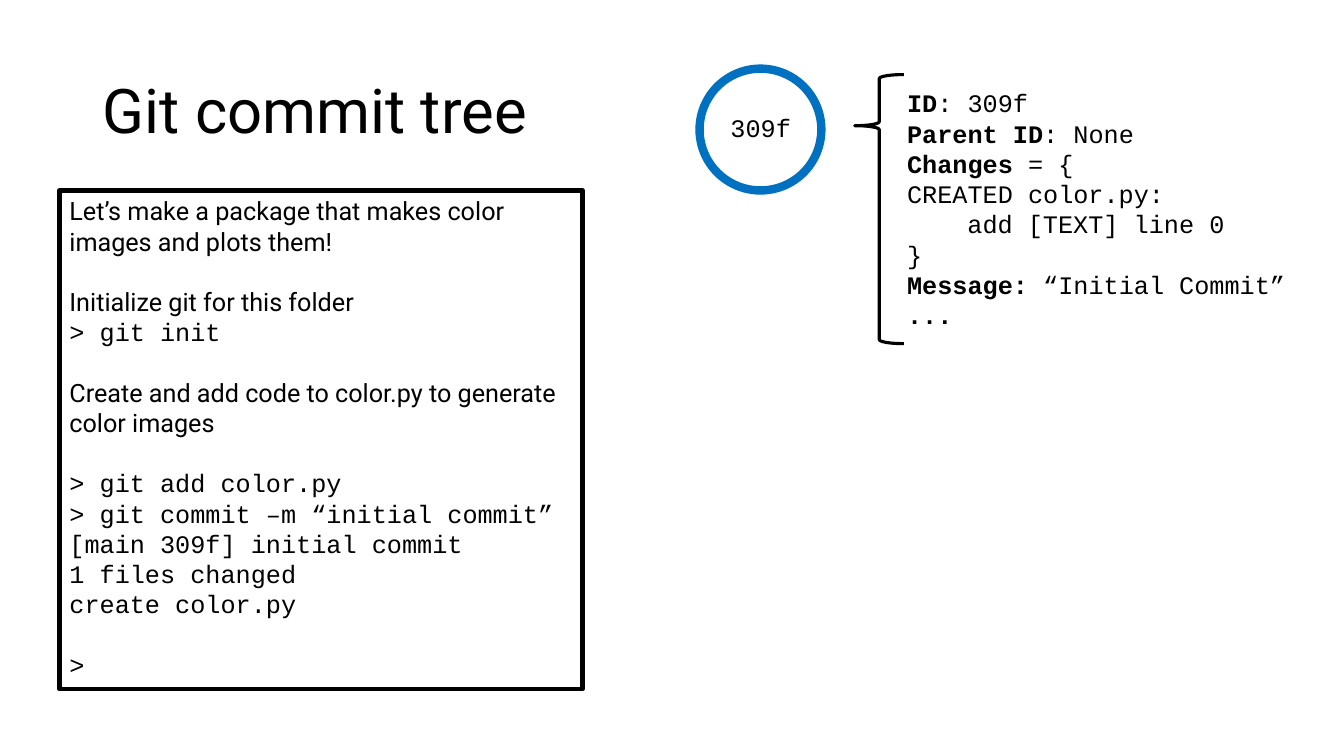
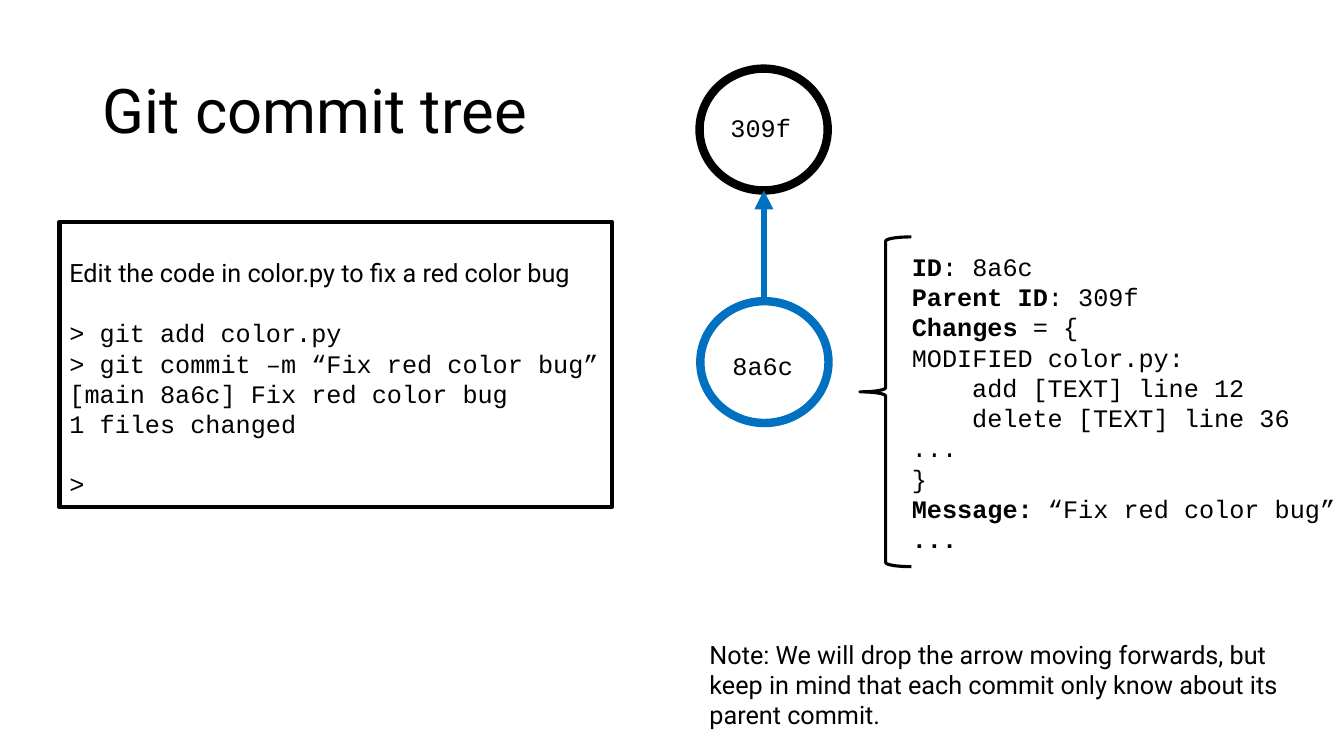
from dataclasses import dataclass

from lxml import etree
from pptx import Presentation
from pptx.dml.color import RGBColor
from pptx.enum.shapes import MSO_CONNECTOR as Link, MSO_SHAPE as Form
from pptx.enum.text import MSO_ANCHOR as Anchor, MSO_AUTO_SIZE as Auto, PP_ALIGN as Align
from pptx.oxml.ns import qn
from pptx.util import Cm, Pt

BLACK = RGBColor(0x00, 0x00, 0x00)
BLUE = RGBColor(0x00, 0x70, 0xC0)
SANS, MONO = "Roboto", "Courier New"
GAP = Pt(21.6)      # one line of body text
STEP = Cm(1.52)     # four code letters


@dataclass
class Row:
    """One paragraph: a bold key, then plain text."""
    text: str = ""
    key: str = ""
    font: str = MONO
    gap: bool = False
    inset: bool = False


class Deck:
    def __init__(self):
        self.prs = Presentation()
        self.prs.slide_width, self.prs.slide_height = Cm(33.87), Cm(19.05)
        self.slide = None

    def page(self, title):
        self.slide = self.prs.slides.add_slide(self.prs.slide_layouts[5])
        head = self.slide.shapes.title
        head.left, head.top, head.width, head.height = Cm(2.34), Cm(1.02), Cm(29.21), Cm(3.68)
        frame = head.text_frame
        frame.auto_size = Auto.NONE
        frame.vertical_anchor = Anchor.MIDDLE
        para = frame.paragraphs[0]
        para.alignment = Align.LEFT
        para.line_spacing = 0.9
        self.run(para, title, SANS, 44)

    def run(self, para, text, font, size=18, bold=False):
        run = para.add_run()
        run.text = text
        run.font.name, run.font.size, run.font.bold = font, Pt(size), bold
        run.font.color.rgb = BLACK

    def fill(self, frame, rows, top=0.13):
        frame.word_wrap = True
        frame.vertical_anchor = Anchor.TOP
        frame.margin_top, frame.margin_right = Cm(top), 0
        for i, row in enumerate(rows):
            para = frame.add_paragraph() if i else frame.paragraphs[0]
            para.alignment = Align.LEFT
            if row.gap:
                para.space_before = GAP
            if row.inset:
                para._p.get_or_add_pPr().set("marL", str(STEP))
            if row.key:
                self.run(para, row.key, row.font, bold=True)
            if row.text:
                self.run(para, row.text, row.font)

    def shape(self, form, x, y, w, h, color, width):
        item = self.slide.shapes.add_shape(form, Cm(x), Cm(y), Cm(w), Cm(h))
        item.shadow.inherit = False
        item.fill.background()
        item.line.color.rgb, item.line.width = color, Pt(width)
        return item

    def text(self, x, y, w, h, rows):
        box = self.slide.shapes.add_textbox(Cm(x), Cm(y), Cm(w), Cm(h))
        self.fill(box.text_frame, rows)

    def shell(self, x, y, w, h, rows, top=0.13):
        box = self.shape(Form.RECTANGLE, x, y, w, h, BLACK, 3)
        self.fill(box.text_frame, rows, top)

    def node(self, x, y, w, h, color):
        self.shape(Form.OVAL, x, y, w, h, color, 6)

    def brace(self, x, y, w, h, tip):
        item = self.shape(Form.LEFT_BRACE, x, y, w, h, BLACK, 2.25)
        item.adjustments[0], item.adjustments[1] = 0.08, tip

    def arrow(self, x, start, end):
        link = self.slide.shapes.add_connector(
            Link.STRAIGHT, Cm(x), Cm(start), Cm(x), Cm(end))
        link.line.color.rgb, link.line.width = BLUE, Pt(4.5)
        etree.SubElement(link.line._get_or_add_ln(), qn("a:tailEnd"), type="triangle")
        etree.SubElement(link._element.spPr, qn("a:effectLst"))


def main():
    deck = Deck()

    # First commit
    deck.page("Git commit tree")
    deck.node(17.63, 1.73, 3.07, 3.07, BLUE)
    deck.text(18.16, 2.69, 2.1, 1.02, [Row("309f")])
    deck.shell(1.5, 4.8, 13.18, 12.57, [
        Row("Let’s make a package that makes color images and plots them!", font=SANS),
        Row("Initialize git for this folder", font=SANS, gap=True),
        Row("> git init"),
        Row("Create and add code to color.py to generate color images", font=SANS, gap=True),
        Row("> git add color.py", gap=True),
        Row("> git commit –m “initial commit”"),
        Row("[main 309f] initial commit"),
        Row("1 files changed"),
        Row("create color.py"),
        Row(">", gap=True),
    ])
    deck.brace(21.54, 1.88, 1.24, 6.78, 0.19)
    deck.text(22.61, 2.08, 10.11, 6.4, [
        Row(": 309f", "ID"),
        Row(": None", "Parent ID"),
        Row(" = {", "Changes"),
        Row("CREATED color.py:"),
        Row("add [TEXT] line 0", inset=True),
        Row("}"),
        Row("“Initial Commit”", "Message: "),
        Row(key="..."),
    ])

    # Second commit, pointing at its parent
    deck.page("Git commit tree")
    deck.node(17.63, 1.73, 3.23, 3.07, BLACK)
    deck.node(17.65, 7.59, 3.23, 3.07, BLUE)
    deck.arrow(19.25, 7.59, 4.8)
    deck.text(18.16, 2.69, 2.1, 1.02, [Row("309f")])
    deck.text(18.21, 8.69, 2.1, 1.02, [Row("8a6c")])
    deck.brace(21.67, 5.97, 1.3, 8.31, 0.47)
    deck.shell(1.5, 5.59, 13.92, 7.19, [
        Row("Edit the code in color.py to fix a red color bug", font=SANS),
        Row("> git add color.py", gap=True),
        Row("> git commit –m “Fix red color bug”"),
        Row("[main 8a6c] Fix red color bug"),
        Row("1 files changed"),
        Row(">", gap=True),
    ], top=0.89)
    deck.text(22.73, 6.2, 11.1, 7.95, [
        Row(": 8a6c", "ID"),
        Row(": 309f", "Parent ID"),
        Row(" = {", "Changes"),
        Row("MODIFIED color.py:"),
        Row("add [TEXT] line 12", inset=True),
        Row("delete [TEXT] line 36", inset=True),
        Row("..."),
        Row("}"),
        Row("“Fix red color bug”", "Message: "),
        Row(key="..."),
    ])
    deck.text(17.63, 15.98, 15.39, 2.57, [
        Row("Note: We will drop the arrow moving forwards, but keep in mind that "
            "each commit only know about its parent commit.", font=SANS),
    ])
    deck.prs.save("out.pptx")


if __name__ == "__main__":
    main()
